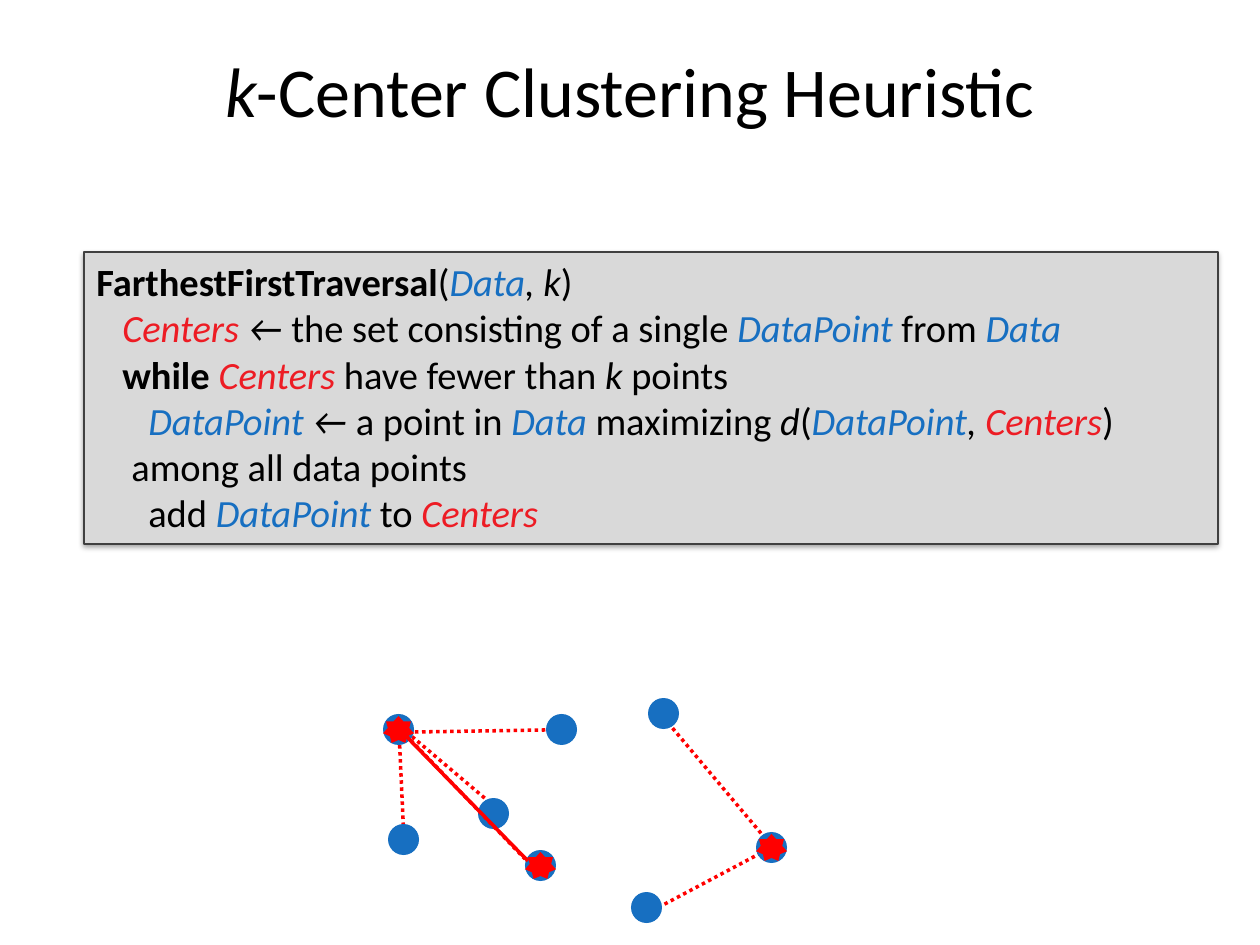
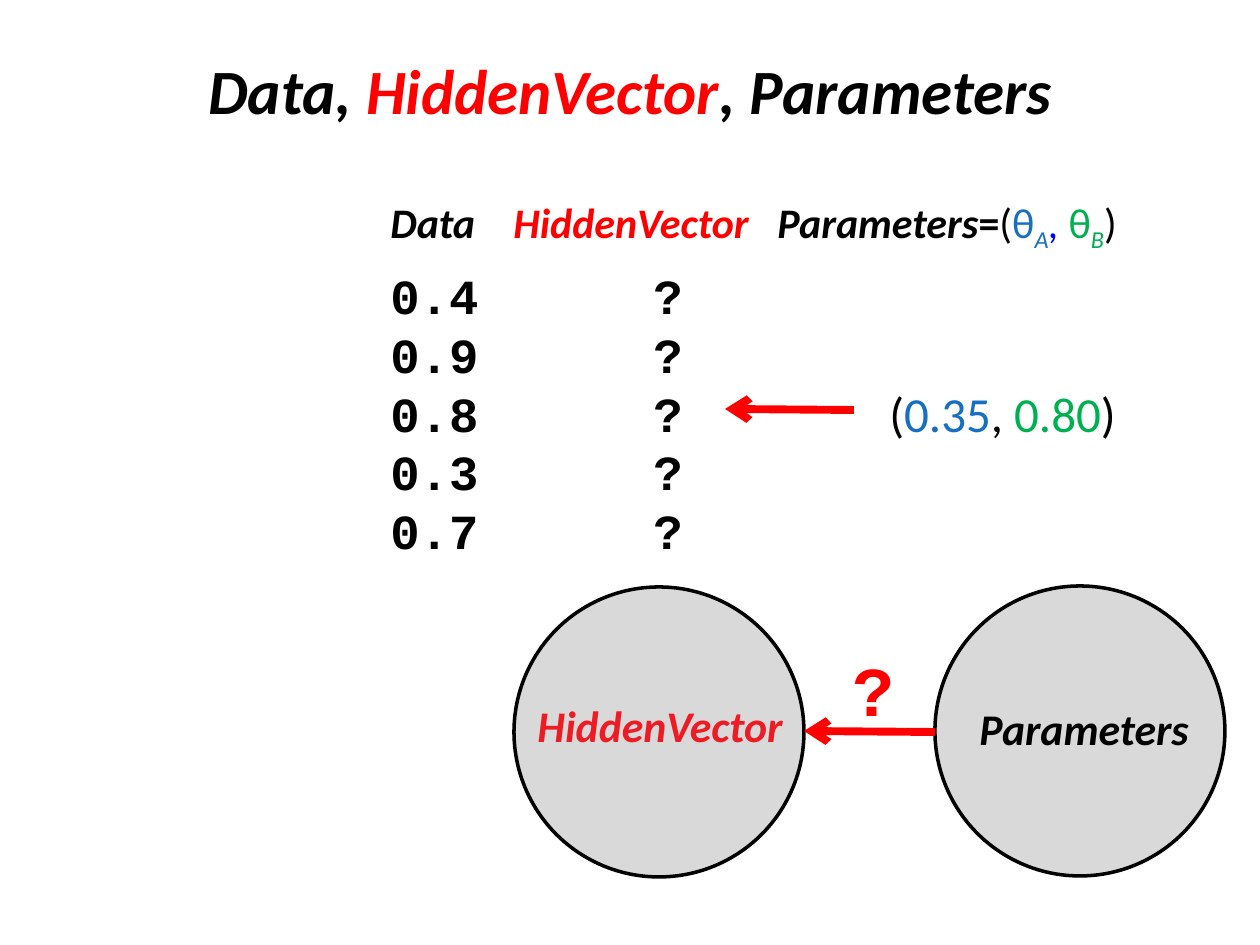
"""Two slides: the farthest-first clustering heuristic, and data with hidden vector and parameters."""
import pptx
import pptx.util
import pptx.dml.color
import pptx.enum.dml
import pptx.enum.shapes
import pptx.enum.text
import pptx.oxml
import pptx.oxml.ns

RGB = pptx.dml.color.RGBColor
MSO = pptx.enum.shapes.MSO_SHAPE
ALIGN = pptx.enum.text.PP_ALIGN
ANCHOR = pptx.enum.text.MSO_ANCHOR
Pt = pptx.util.Pt

BLACK = RGB(0x00, 0x00, 0x00)
GREY = RGB(0xD9, 0xD9, 0xD9)
DARK = RGB(0x40, 0x40, 0x40)
BLUE = RGB(0x17, 0x6F, 0xC1)
RED = RGB(0xFF, 0x00, 0x00)
CRIMSON = RGB(0xED, 0x1C, 0x24)
GREEN = RGB(0x00, 0xB0, 0x50)
COMMA_BLUE = RGB(0x00, 0x00, 0xFF)

EMU_PER_PX = 914400 / 126
SANS, MONO = "Calibri", "Courier New"

TITLE_BOX = (63, 10, 1134, 158)
HEURISTIC_TITLE = [("k", BLACK, "i"), ("-Center Clustering Heuristic", BLACK, "")]
VECTOR_TITLE = [("Data, ", BLACK, "bi"), ("HiddenVector", RED, "bi"), (", Parameters", BLACK, "bi")]

CODE_BOX = (84, 252, 1134, 292)
DATA, POINT, CENTERS = ("Data", BLUE, "i"), ("DataPoint", BLUE, "i"), ("Centers", CRIMSON, "i")
CODE = [
    (0, 0, [("FarthestFirstTraversal", BLACK, "b"), ("(", BLACK, ""), DATA,
            (", k", BLACK, "i"), (")", BLACK, "")]),
    (26, 26, [CENTERS, (" ← ", BLACK, "i"), ("the set consisting of a single ", BLACK, ""), POINT,
              (" from ", BLACK, ""), DATA]),
    (26, 26, [("while ", BLACK, "b"), CENTERS, (" have fewer than ", BLACK, ""), ("k ", BLACK, "i"),
              ("points", BLACK, "")]),
    (52, 35, [POINT, (" ← ", BLACK, "i"), ("a point in ", BLACK, ""), DATA,
              (" maximizing", BLACK, ""), (" d", BLACK, "i"), ("(", BLACK, ""), POINT,
              (", ", BLACK, "i"), CENTERS, (")", BLACK, ""), None,
              ("among all data points", BLACK, "")]),
    (52, 52, [("add ", BLACK, ""), POINT, (" to ", BLACK, ""), CENTERS]),
]

DOT, STAR_H = 31, 27
DOTS = [(383, 714), (388, 824), (478, 798), (648, 698), (546, 714), (525, 850), (756, 832), (631, 892)]
FIRST_CENTERS = [(756, 832), (383, 714)]
LAST_CENTER = (525, 850)
NEAREST = [(396, 723, 494, 806), (761, 853, 663, 905), (659, 712, 781, 857),
           (415, 732, 546, 730), (399, 731, 404, 840)]
FARTHEST_DOTTED = (401, 730, 525, 859)
FARTHEST = (402, 732, 528, 861)

TABLE_BOX = (25, 189, 1235, 428)
HEADER_TABS, ROW_TABS = [353, 476, 740], [353, 616, 852]
HEADER = [("\tData\t", BLACK, "bi"), ("HiddenVector", RED, "bi"), ("\tParameters", BLACK, "bi"),
          ("=", BLACK, "b"), ("(", BLACK, ""), ("θ", BLUE, ""), ("A", BLUE, "is"),
          (", ", COMMA_BLUE, "i"), ("θ", GREEN, ""), ("B", GREEN, "is"), (")", BLACK, "")]
VALUES = ["0.4", "0.9", "0.8", "0.3", "0.7"]
PARAMETERS = [("\t(", BLACK, ""), ("0.35", BLUE, ""), (", ", BLACK, ""), ("0.80", GREEN, ""),
              (")", BLACK, "")]
PARAMETERS_ROW = 2

CIRCLE = 290
CIRCLES = [((935, 586), (942, 696, 284, 66), "Parameters", BLACK),
           ((514, 587), (513, 693, 294, 66), "HiddenVector", CRIMSON)]
ARROWS = [(804, 731, 935, 732), (725, 409, 854, 410)]
QUESTION_BOX = (840, 640, 73, 97)


def px(n):
    return pptx.util.Emu(round(n * EMU_PER_PX))


def add_xml(parent, xml):
    el = pptx.oxml.parse_xml(xml.replace(">", f" {pptx.oxml.ns.nsdecls('a')}>", 1))
    parent.append(el)


def add_runs(p, runs, size, font=SANS):
    p.font.size, p.font.name = Pt(size), font
    for run in runs:
        if run is None:
            p.add_line_break()
            continue
        text, color, marks = run
        r = p.add_run()
        r.text = text
        r.font.color.rgb = color
        r.font.bold, r.font.italic = "b" in marks, "i" in marks
        if "s" in marks:
            r._r.get_or_add_rPr().set("baseline", "-25000")


def add_paragraph(tf, first):
    return tf.paragraphs[0] if first else tf.add_paragraph()


def set_tabs(p, stops):
    tabs = "".join(f'<a:tab pos="{px(x)}" algn="l"/>' for x in stops)
    add_xml(p._p.get_or_add_pPr(), f"<a:tabLst>{tabs}</a:tabLst>")


def add_text(s, box, runs, size, align=ALIGN.LEFT, anchor=ANCHOR.TOP, font=SANS):
    tf = s.shapes.add_textbox(*map(px, box)).text_frame
    tf.word_wrap, tf.vertical_anchor = True, anchor
    p = tf.paragraphs[0]
    p.alignment = align
    add_runs(p, runs, size, font)


def add_title(s, runs, size):
    add_text(s, TITLE_BOX, runs, size, ALIGN.CENTER, ANCHOR.MIDDLE)


def add_shape(s, kind, box, fill, line=None, width=0):
    sp = s.shapes.add_shape(kind, *map(px, box))
    sp.shadow.inherit = False
    sp.fill.solid()
    sp.fill.fore_color.rgb = fill
    if line is None:
        sp.line.fill.background()
    else:
        sp.line.color.rgb, sp.line.width = line, Pt(width)
    return sp


def add_line(s, ends, width=2, dotted=False, arrow=False):
    c = s.shapes.add_connector(pptx.enum.shapes.MSO_CONNECTOR.STRAIGHT, *map(px, ends))
    c.line.color.rgb, c.line.width = RED, Pt(width)
    if dotted:
        c.line.dash_style = pptx.enum.dml.MSO_LINE.ROUND_DOT
    if arrow:
        add_xml(c.line._get_or_add_ln(), '<a:headEnd type="arrow"></a:headEnd>')
    add_xml(c._element.spPr, "<a:effectLst></a:effectLst>")


def add_star(s, x, y):
    add_shape(s, MSO.STAR_7_POINT, (x, y + 2, DOT, STAR_H), RED)


def add_code(s):
    sp = add_shape(s, MSO.RECTANGLE, CODE_BOX, GREY, DARK, 0.75)
    effects = sp._element.spPr.find(pptx.oxml.ns.qn("a:effectLst"))
    add_xml(effects, f'<a:outerShdw blurRad="{Pt(3.1)}" dist="{Pt(1.6)}" dir="5400000" rotWithShape="0">'
            '<a:srgbClr val="000000"><a:alpha val="38000"/></a:srgbClr></a:outerShdw>')
    tf = sp.text_frame
    tf.word_wrap, tf.vertical_anchor = True, ANCHOR.TOP
    for i, (first, rest, runs) in enumerate(CODE):
        p = add_paragraph(tf, i == 0)
        p.alignment = ALIGN.LEFT
        pPr = p._p.get_or_add_pPr()
        pPr.set("marL", str(px(rest)))
        pPr.set("indent", str(px(first - rest)))
        add_runs(p, runs, 22)


def add_values(s):
    tf = s.shapes.add_textbox(*map(px, TABLE_BOX)).text_frame
    tf.word_wrap = True
    rows = [(HEADER, HEADER_TABS, 24, SANS)]
    rows += [([(f"\t{v}\t?", BLACK, "b")], ROW_TABS, 28, MONO) for v in VALUES]
    for i, (runs, tabs, size, font) in enumerate(rows):
        p = add_paragraph(tf, i == 0)
        p.line_spacing = Pt(33.5)
        if i == 1:
            p.space_before = Pt(7)
        set_tabs(p, tabs)
        add_runs(p, runs, size, font)
        if i == PARAMETERS_ROW + 1:
            add_runs(p, PARAMETERS, size, font)
            for r in p.runs[1:]:
                r.font.name = SANS


def build_heuristic(s):
    for ends in NEAREST:
        add_line(s, ends, dotted=True)
    for x, y in DOTS:
        add_shape(s, MSO.OVAL, (x, y, DOT, DOT), BLUE)
    for center in FIRST_CENTERS:
        add_star(s, *center)
    add_line(s, FARTHEST_DOTTED, dotted=True)
    add_line(s, FARTHEST)
    add_star(s, *LAST_CENTER)
    add_code(s)
    add_title(s, HEURISTIC_TITLE, 40)


def build_vectors(s):
    add_title(s, VECTOR_TITLE, 36)
    add_values(s)
    for corner, label_box, label, color in CIRCLES:
        add_shape(s, MSO.OVAL, (*corner, CIRCLE, CIRCLE), GREY, BLACK, 2)
        add_text(s, label_box, [(label, color, "bi")], 25, ALIGN.CENTER)
    for ends in ARROWS:
        add_line(s, ends, 4.5, arrow=True)
    add_text(s, QUESTION_BOX, [("?", RED, "b")], 40, font=MONO)


def main():
    prs = pptx.Presentation()
    prs.slide_width, prs.slide_height = px(1260), px(945)
    for build in (build_heuristic, build_vectors):
        build(prs.slides.add_slide(prs.slide_layouts[6]))
    prs.save("out.pptx")


if __name__ == "__main__":
    main()
